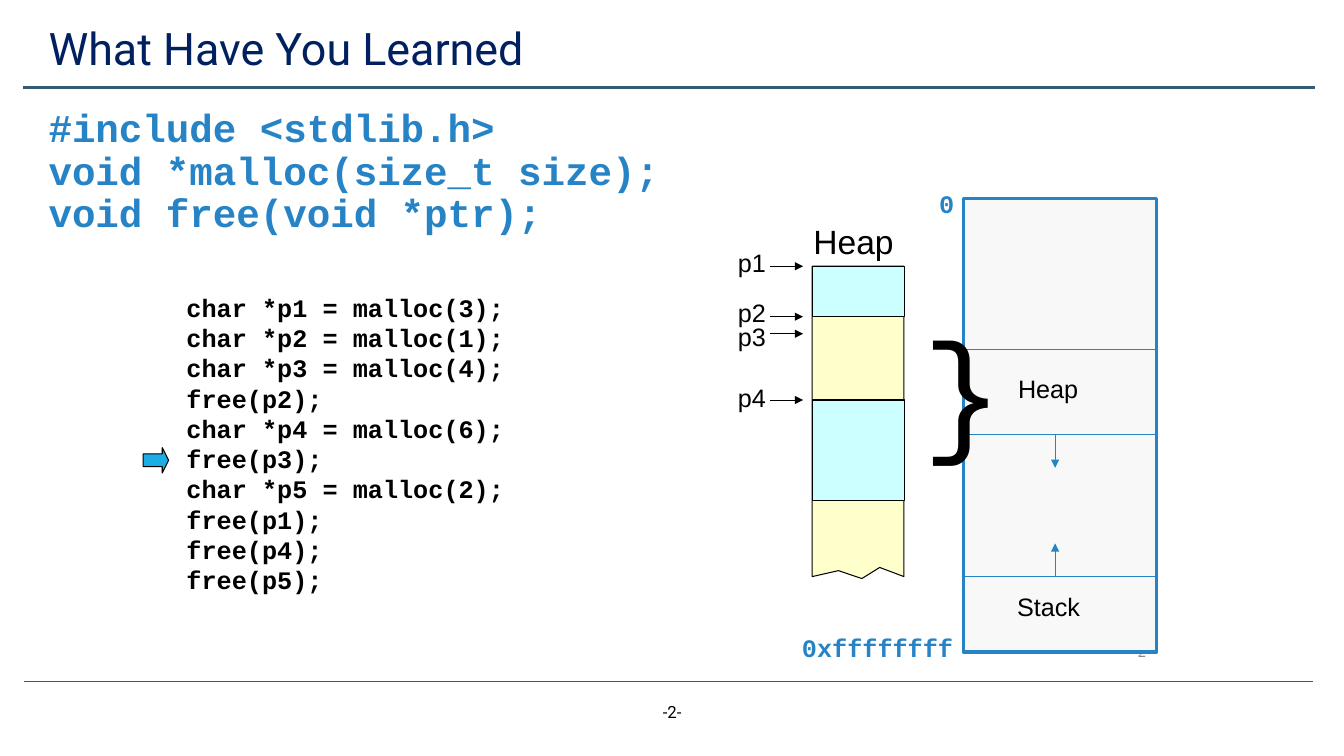
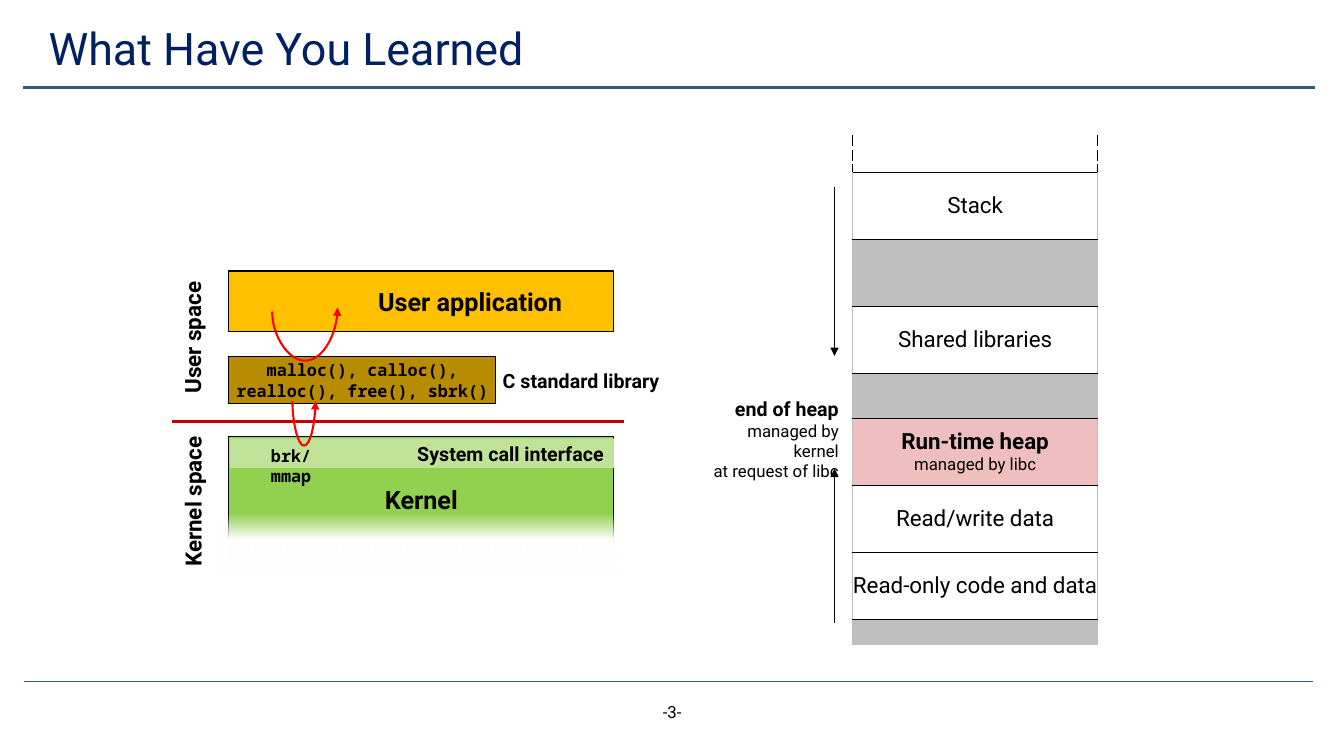
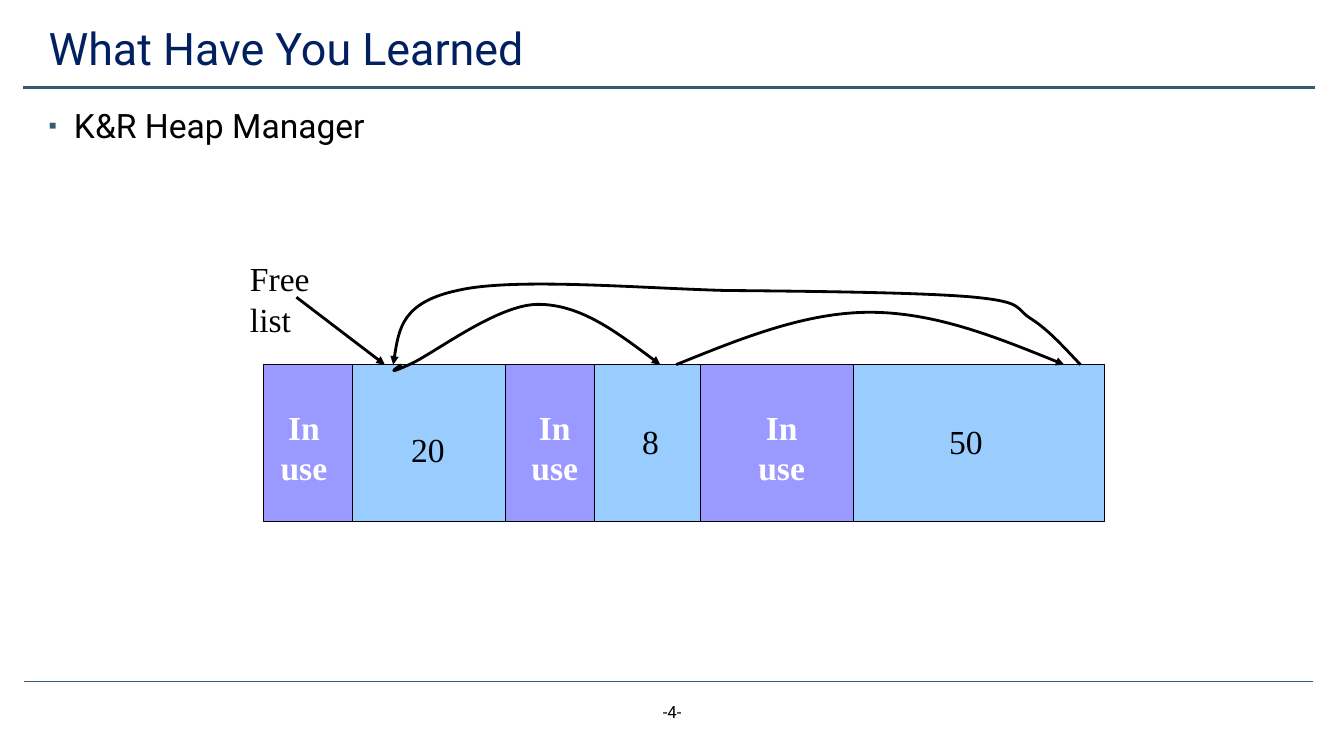
from collections import namedtuple
from itertools import accumulate

from lxml import etree
from pptx import Presentation
from pptx.dml.color import RGBColor
from pptx.enum import shapes, text
from pptx.oxml.ns import qn
from pptx.util import Cm, Pt

Style = namedtuple("Style", "size font color bold", defaults=(False,))
Kind = shapes.MSO_SHAPE
Left, Mid, Right = text.PP_ALIGN.LEFT, text.PP_ALIGN.CENTER, text.PP_ALIGN.RIGHT
Top, Center = text.MSO_ANCHOR.TOP, text.MSO_ANCHOR.MIDDLE


class Theme:
    black, white, navy, slate, blue = "000000", "FFFFFF", "002060", "335B74", "2683C6"
    sky, pale, cyan, cream, gray = "1CADE4", "F8F8F8", "CCFFFF", "FFFFCC", "BFBFBF"
    pink, crimson, red = "EFBFBF", "C00000", "FF0000"
    green, lime, amber, ochre = "92D050", "C0E399", "FFC000", "B88C00"
    used, free = "9999FF", "99CCFF"
    sans, mono, arial, serif = "Roboto", "Courier New", "Arial", "Times New Roman"

    title = Style(32, sans, navy)
    topic = Style(24, sans, black)
    page = Style(12, sans, black)
    api = Style(28, mono, blue, True)
    code = Style(18, mono, black, True)
    addr = Style(18, mono, blue, True)
    brace = Style(96, mono, black)
    label = Style(18, arial, black)
    head = Style(24, arial, black)
    faint = Style(12, serif, "898989")
    cell = Style(16, sans, black)
    strong = Style(16, sans, black, True)
    layer = Style(18, sans, black, True)
    note = Style(14, sans, black, True)
    call = Style(12, "Noto Sans Mono", black, True)
    size = Style(24, serif, black)
    busy = Style(24, serif, white, True)
    tiny = Style(6, sans, black)


def rgb(code):
    return RGBColor.from_string(code)


class Deck:
    def __init__(self):
        self.show = Presentation()
        self.show.slide_width, self.show.slide_height = Cm(33.87), Cm(19.05)
        self.slide = None

    def page(self, title, number, body=None, style=None, mark=None):
        layout = self.show.slide_layouts[1 if body else 5]
        self.slide = self.show.slides.add_slide(layout)
        self.line(0.61, 17.17, 33.1, 17.17, Theme.slate, 0.5)
        self.line(0.58, 2.21, 33.15, 2.21, Theme.slate, 1.75)
        self.text(f"-{number}-", 13.13, 17.55, 7.62, 1.02, Theme.page, Mid, wrap=True)
        head = self.slide.shapes.title
        self.place(head, 0.97, 0.48, 31.57, 1.6)
        self.words(head.text_frame, [title], Theme.title, Left, Center, True)
        head.text_frame.paragraphs[0].line_spacing = 0.9
        if body:
            area = self.slide.placeholders[1]
            self.place(area, 0.97, 2.62, 31.57, 14.27)
            self.paint(area, Theme.white)
            para = area.text_frame.paragraphs[0]
            self.bullet(para, mark)
            self.words(area.text_frame, [body], style, Left, Top, True)
            para.line_spacing, para.space_before = 0.9, Pt(10)

    def place(self, shape, x, y, w, h):
        shape.left, shape.top, shape.width, shape.height = Cm(x), Cm(y), Cm(w), Cm(h)

    def bullet(self, para, mark):
        props = para._p.get_or_add_pPr()
        props.set("marL", str(Cm(0.64) if mark else 0))
        props.set("indent", str(Cm(-0.64) if mark else 0))
        if not mark:
            etree.SubElement(props, qn("a:buNone"))
            return
        tint = etree.SubElement(props, qn("a:buClr"))
        etree.SubElement(tint, qn("a:srgbClr"), val=Theme.slate)
        etree.SubElement(props, qn("a:buSzPct"), val="70000")
        etree.SubElement(props, qn("a:buChar"), char=mark)

    def font(self, para, style):
        font = para.font
        font.name, font.size, font.bold = style.font, Pt(style.size), style.bold
        font.color.rgb = rgb(style.color)

    def words(self, frame, rows, style, align, anchor=Top, wrap=False, fit=False):
        frame.word_wrap, frame.vertical_anchor = wrap, anchor
        auto = text.MSO_AUTO_SIZE
        frame.auto_size = auto.SHAPE_TO_FIT_TEXT if fit else auto.NONE
        for i, row in enumerate(rows):
            para = frame.add_paragraph() if i else frame.paragraphs[0]
            line, look = row if isinstance(row, tuple) else (row, style)
            para.text, para.alignment = line, align
            self.font(para, look)

    def text(self, words, x, y, w, h, style, align=Left, anchor=Top,
             wrap=False, fit=True, turn=0):
        box = self.slide.shapes.add_textbox(Cm(x), Cm(y), Cm(w), Cm(h))
        rows = [words] if isinstance(words, str) else words
        self.words(box.text_frame, rows, style, align, anchor, wrap, fit)
        box.rotation = turn
        return box

    def paint(self, shape, fill=None, line=None, width=0.75):
        if fill:
            shape.fill.solid()
            shape.fill.fore_color.rgb = rgb(fill)
        else:
            shape.fill.background()
        if line:
            shape.line.color.rgb, shape.line.width = rgb(line), Pt(width)
        else:
            shape.line.fill.background()
        shape.shadow.inherit = False

    def box(self, x, y, w, h, fill, line=Theme.black, width=0.75, kind=Kind.RECTANGLE,
            words=None, style=None, align=Mid):
        shape = self.slide.shapes.add_shape(kind, Cm(x), Cm(y), Cm(w), Cm(h))
        self.paint(shape, fill, line, width)
        if words:
            self.words(shape.text_frame, [words], style, align, Center)
        return shape

    def fade(self, x, y, w, h, color, stop):
        shape = self.box(x, y, w, h, color, None)
        shape.fill.gradient()
        shape.fill.gradient_angle = 270
        first, last = shape.fill.gradient_stops
        first.position, last.position = 0, stop
        first.color.rgb = last.color.rgb = rgb(color)
        tint = next(shape.element.iter(qn("a:srgbClr")))
        etree.SubElement(tint, qn("a:alpha"), val="0")

    def tip(self, shape):
        line = shape.element.find(".//" + qn("a:ln"))
        etree.SubElement(line, qn("a:tailEnd"), type="triangle")

    def line(self, x1, y1, x2, y2, color=Theme.black, width=0.75, tip=False):
        link = self.slide.shapes.add_connector(
            shapes.MSO_CONNECTOR.STRAIGHT, Cm(x1), Cm(y1), Cm(x2), Cm(y2))
        link.line.color.rgb, link.line.width = rgb(color), Pt(width)
        if tip:
            self.tip(link)
        etree.SubElement(link.element.find(qn("p:spPr")), qn("a:effectLst"))

    def trace(self, points, close):
        spots = [(Cm(x), Cm(y)) for x, y in points]
        pen = self.slide.shapes.build_freeform(*spots[0])
        pen.add_line_segments(spots[1:], close=close)
        return pen.convert_to_shape()

    def shape(self, points, fill):
        self.paint(self.trace(points, True), fill, Theme.black)

    def curve(self, points, color=Theme.black, width=2):
        shape = self.trace(points, False)
        route = shape.element.find(".//" + qn("a:path"))
        steps = route.findall(qn("a:lnTo"))
        for i in range(0, len(steps), 3):
            bend = etree.SubElement(route, qn("a:cubicBezTo"))
            for step in steps[i:i + 3]:
                bend.append(step[0])
                route.remove(step)
        self.paint(shape, None, color, width)
        self.tip(shape)

    def loop(self, x1, y1, x2, y2, low):
        mid = (x1 + x2) / 2
        self.curve([(x1, y1), (x1, (y1 + low) / 2), ((x1 + mid) / 2, low), (mid, low),
                    ((x2 + mid) / 2, low), (x2, (y2 + low) / 2), (x2, y2)],
                   Theme.red, 1.5)

    def edge(self, cell, side, color=None, width=1, dash="solid"):
        line = etree.SubElement(cell._tc.get_or_add_tcPr(), qn("a:ln" + side),
                                w=str(Pt(width)))
        if color:
            fill = etree.SubElement(line, qn("a:solidFill"))
            etree.SubElement(fill, qn("a:srgbClr"), val=color)
            etree.SubElement(line, qn("a:prstDash"), val=dash)
        else:
            etree.SubElement(line, qn("a:noFill"))

    def table(self, x, y, w, rows):
        high = sum(row[0] for row in rows)
        grid = self.slide.shapes.add_table(len(rows), 1, Cm(x), Cm(y), Cm(w), Cm(high)).table
        grid.first_row = grid.horz_banding = False
        last = len(rows) - 1
        for i, (tall, words, fill) in enumerate(rows):
            grid.rows[i].height = Cm(tall)
            cell = grid.cell(i, 0)
            for side in "LR":
                if i:
                    self.edge(cell, side, Theme.gray, 0.5)
                else:
                    self.edge(cell, side, Theme.black, 1, "sysDash")
            self.edge(cell, "T", Theme.black if i else None)
            self.edge(cell, "B", Theme.black if i < last else None)
            if fill:
                cell.fill.solid()
                cell.fill.fore_color.rgb = rgb(fill)
            else:
                cell.fill.background()
            cell.margin_left = cell.margin_right = cell.margin_top = cell.margin_bottom = 0
            cell.vertical_anchor = Center
            for j, (part, style) in enumerate(words or [("", Theme.tiny)]):
                frame = cell.text_frame
                para = frame.add_paragraph() if j else frame.paragraphs[0]
                para.text, para.alignment = part, Mid
                self.font(para, style)


TITLE = "What Have You Learned"


def malloc(deck):
    t = Theme
    deck.page(TITLE, 2, "#include <stdlib.h>\vvoid *malloc(size_t size);\vvoid free(void *ptr);",
              t.api)
    deck.text(["char *p1 = malloc(3);", "char *p2 = malloc(1);", "char *p3 = malloc(4);",
               "free(p2);", "char *p4 = malloc(6);", "free(p3);", "char *p5 = malloc(2);",
               "free(p1);", "free(p4);", "free(p5);"],
              4.45, 7.24, 8.69, 7.87, t.code, wrap=True)
    arrow = deck.box(3.61, 11.28, 0.64, 0.64, t.sky, kind=Kind.RIGHT_ARROW)
    arrow.adjustments[0], arrow.adjustments[1] = 0.5, 0.25
    deck.text("2", 23.22, 15.9, 5.92, 1.02, t.faint, Right, Center, wrap=True, fit=False)
    deck.shape([(20.47, 14.53), (21.13, 14.38), (21.72, 14.58), (22.17, 14.3),
                (22.78, 14.53), (22.78, 6.71), (20.47, 6.71)], t.cream)

    deck.box(24.28, 5, 4.87, 11.43, t.pale, t.blue, 2.25)
    deck.text("0", 23.42, 4.62, 0.89, 1.02, t.addr)
    deck.text("0xffffffff", 19.96, 15.8, 4.32, 1.02, t.addr)
    for y in (14.53, 10.95, 8.81):
        deck.line(24.28, y, 29.13, y, t.blue)
    deck.text("Stack", 25.37, 14.78, 2.11, 1.02, t.label, Mid)
    for y, end in ((10.95, 11.79), (14.53, 13.69)):
        deck.line(26.59, y, 26.59, end, t.blue, tip=True)
    deck.text("}", 23.01, 7.54, 1.02, 4.32, t.brace, Mid, wrap=True)
    deck.text("Heap", 20.24, 5.44, 2.54, 1.27, t.head, Mid)
    deck.text("Heap", 25.4, 9.27, 2.03, 1.02, t.label, Mid)

    for y, h in ((6.71, 1.27), (10.08, 2.54)):
        deck.box(20.47, y, 2.33, h, t.cyan)
    for name, top, y in (("p1", 6.1, 6.71), ("p2", 7.37, 7.98),
                         ("p3", 7.98, 8.41), ("p4", 9.5, 10.08)):
        deck.text(name, 18.34, top, 1.22, 1.02, t.label, Mid)
        deck.line(19.41, y, 20.24, y, tip=True)


def layers(deck):
    t = Theme
    deck.page(TITLE, 3)
    tall = 1.69
    deck.table(21.49, 3.4, 6.17, [
        (0.94, None, None),
        (tall, [("Stack", t.cell)], None),
        (tall, None, t.gray),
        (tall, [("Shared libraries", t.cell)], None),
        (1.14, None, t.gray),
        (tall, [("Run-time heap", t.strong), ("managed by libc", t.page)], t.pink),
        (tall, [("Read/write data", t.cell)], None),
        (tall, [("Read-only code and data", t.cell)], None),
        (0.64, None, t.gray)])
    note = deck.text(["end of heap", ("managed by kernel", t.page),
                      ("at request of libc", t.page)],
                     17.58, 9.58, 3.81, 2.18, t.note, Right, wrap=True)
    note.text_frame.paragraphs[0].line_spacing = 1.5

    deck.line(4.34, 10.62, 15.72, 10.62, t.crimson, 2.5)
    deck.box(5.77, 11, 9.7, 3.15, t.green, words="Kernel", style=t.layer)
    deck.box(5.79, 11.05, 9.68, 0.74, t.lime, None,
             words="System call interface", style=t.note, align=Right)
    user = deck.box(5.77, 6.83, 9.7, 1.52, t.amber,
                    words="User application", style=t.layer, align=Right)
    user.text_frame.margin_right = Cm(1.3)
    deck.box(5.77, 8.99, 6.73, 1.19, t.ochre,
             words="malloc(), calloc(),\vrealloc(), free(), sbrk()", style=t.call)
    deck.text("User space", 2.97, 8.26, 3.76, 0.94, t.strong, Right, wrap=True, turn=270)
    deck.text("Kernel space", 2.84, 12.17, 4.04, 0.94, t.strong, Mid, wrap=True, turn=270)
    deck.fade(5.54, 12.95, 10.16, 1.6, t.white, 0.41)
    name = deck.text("C standard library", 12.52, 8.99, 4.45, 1.19, t.note,
                     anchor=Center, fit=False)
    name.text_frame.margin_left = Cm(0.15)
    deck.text("brk/mmap", 6.58, 11.1, 2.41, 0.76, t.call, wrap=True)
    deck.loop(6.86, 7.85, 8.51, 7.75, 9.09)
    deck.loop(7.37, 10.11, 7.95, 10.11, 11.23)
    for y, end in ((4.7, 8.97), (15.7, 11.81)):
        deck.line(21.03, y, 21.03, end, tip=True)


def blocks(deck):
    t = Theme
    deck.page(TITLE, 4, "K&R Heap Manager", t.topic, "▪")
    top = 9.19
    wide = [2.24, 3.86, 2.24, 2.66, 3.86, 6.33]
    for i, (x, w) in enumerate(zip(accumulate(wide, initial=6.65), wide)):
        deck.box(x, top, w, 3.96, t.free if i % 2 else t.used)
    for x in (6.81, 13.13, 18.85):
        deck.text(["In", "use"], x, 10.13, 1.7, 2.29, t.busy, Mid)
    deck.line(7.47, 7.49, 9.7, top, width=2, tip=True)
    deck.text("Free list", 6.05, 6.38, 3.25, 1.27, t.size)
    deck.curve([(10.11, top), (9.93, 9.32), (9.73, 9.45), (10.31, top), (10.9, 8.94),
                (12.52, 7.67), (13.56, 7.67), (14.63, 7.67), (15.62, 8.43), (16.64, top)])
    deck.curve([(17.04, top), (18.67, 8.53), (20.29, 7.87), (21.92, 7.87),
                (23.55, 7.87), (25.2, 8.53), (26.82, top)])
    deck.curve([(27.23, top), (26.82, 8.76), (26.44, 8.33), (26.01, 8.05), (25.55, 7.77),
                (25.86, 7.62), (24.56, 7.49), (23.29, 7.37), (20.42, 7.34), (18.26, 7.32),
                (16.08, 7.26), (12.93, 6.99), (11.53, 7.32), (10.13, 7.62), (10.03, 8.41),
                (9.91, top)])
    for size, x, y, w in (("20", 10.11, 10.69, 1.35), ("8", 15.93, 10.49, 0.94),
                          ("50", 23.67, 10.49, 1.35)):
        deck.text(size, x, y, w, 1.27, t.size)


def main():
    deck = Deck()
    for draw in (malloc, layers, blocks):
        draw(deck)
    deck.show.save("out.pptx")


if __name__ == "__main__":
    main()
